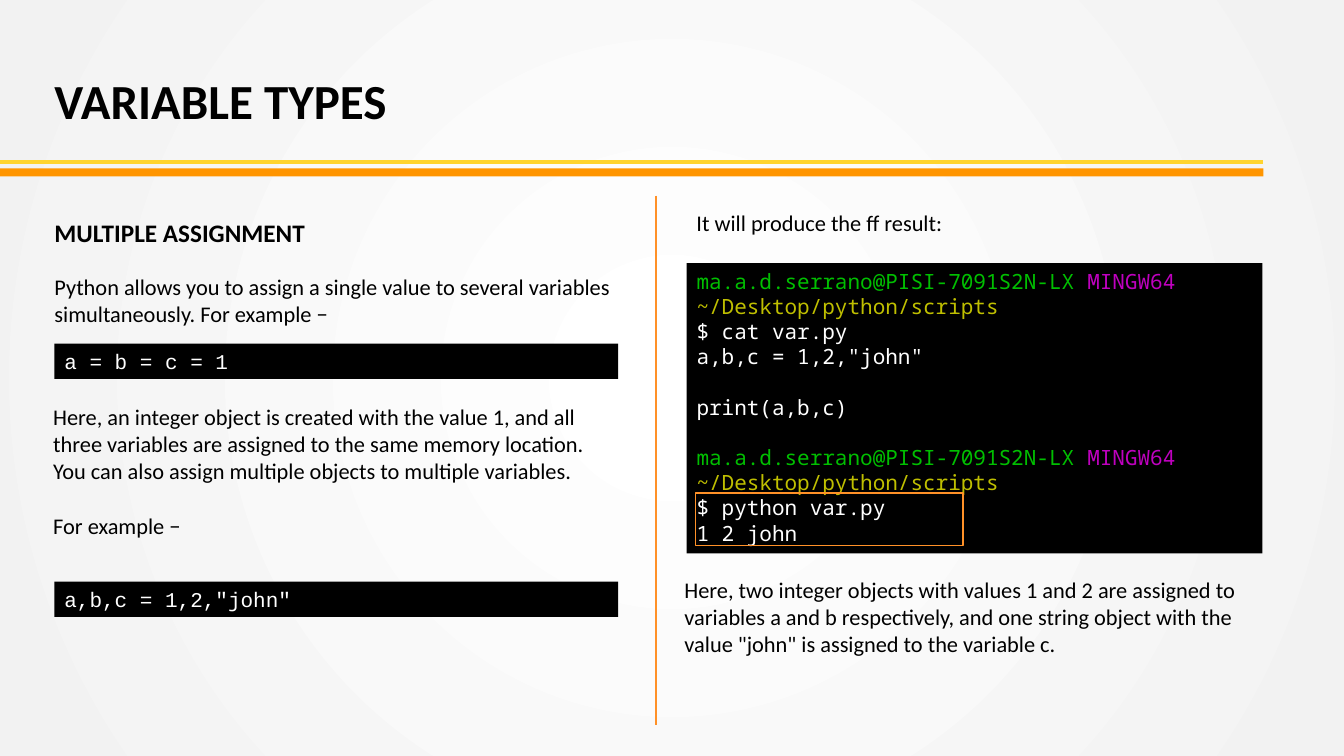
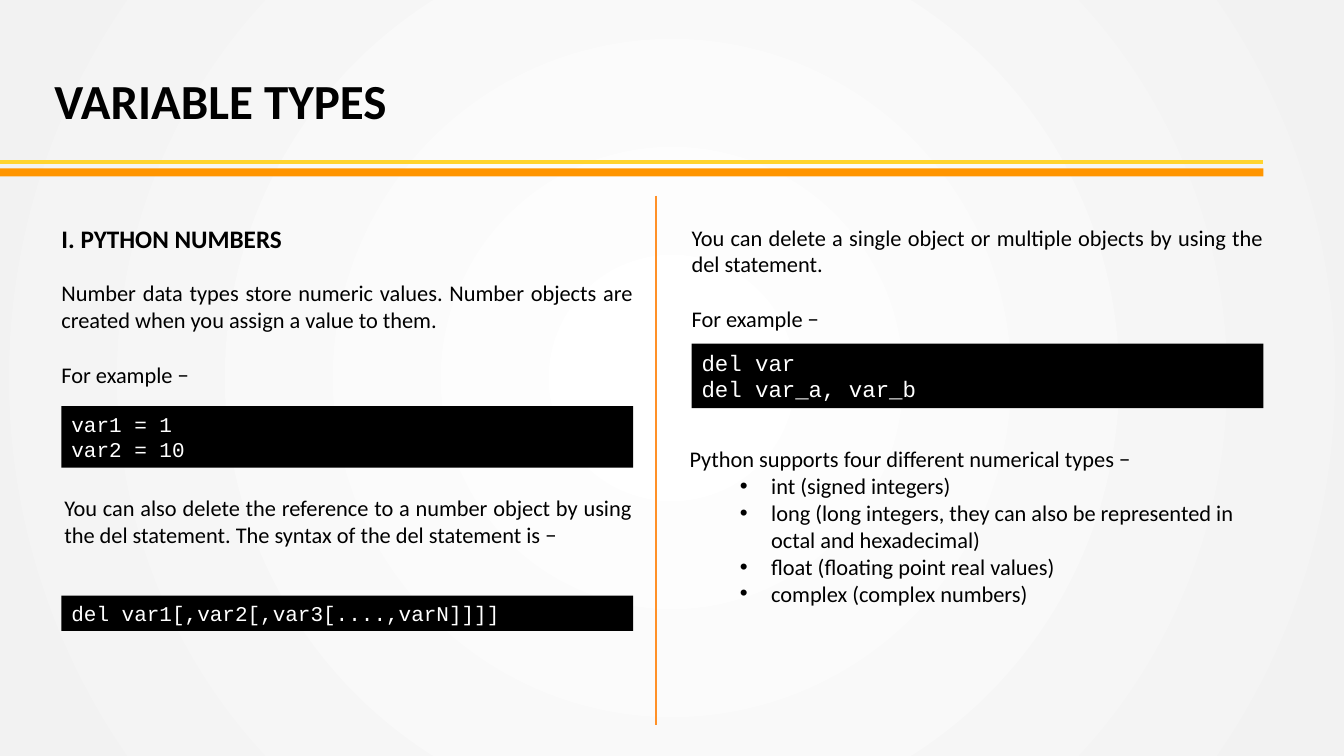
import dataclasses

import lxml.etree
import pptx
import pptx.dml.color
import pptx.enum.shapes
import pptx.enum.text
import pptx.oxml.ns
import pptx.util

EMU_PER_PX = 9144  # 100 px to the inch
SLIDE_WIDTH, SLIDE_HEIGHT = 1333, 750
CONTENT_RIGHT = 1253
PLAIN_INSETS = (10, 5, 10, 5)
FLUSH_INSETS = (0, 0, 0, 5)
JUSTIFY = pptx.enum.text.PP_ALIGN.JUSTIFY


@dataclasses.dataclass(frozen=True)
class Theme:
    ink: str = "000000"
    paper: str = "FFFFFF"
    paper_edge: str = "F2F2F2"
    yellow: str = "FFD42E"
    band: str = "FF9500"
    accent: str = "FF9128"
    prompt_user: str = "00BF00"
    prompt_system: str = "BF00BF"
    prompt_folder: str = "BFBF00"
    body_font: str = "Calibri"
    code_font: str = "Courier New"
    terminal_font: str = "Noto Sans Mono"
    title_size: int = 35
    heading_size: int = 18
    body_size: int = 16
    code_size: int = 15
    heading_gap: int = 18
    body_gap: int = 20
    terminal_line: int = 18


THEME = Theme()


def px(length):
    return pptx.util.Emu(length * EMU_PER_PX)


def rgb(color):
    return pptx.dml.color.RGBColor.from_string(color)


def add_xml(parent, tag, **attributes):
    return lxml.etree.SubElement(parent, pptx.oxml.ns.qn(tag), attributes)


def add_bullet(paragraph):
    paragraph.level = 1
    properties = paragraph._p.get_or_add_pPr()
    properties.set("marL", str(px(81)))
    properties.set("indent", str(px(-31)))
    add_xml(properties, "a:buFont", typeface="Arial")
    add_xml(properties, "a:buChar", char="•")


def add_text(frame, content, *, size=THEME.body_size, font=THEME.body_font,
             color=THEME.ink, bold=False, align=pptx.enum.text.PP_ALIGN.LEFT,
             gap=0, line_height=None, bullet=False):
    """Add one paragraph; content is a string or a list of (text, color) runs."""
    paragraph = frame.add_paragraph() if frame.text else frame.paragraphs[0]
    if bullet:
        add_bullet(paragraph)
    paragraph.alignment = align
    if gap:
        paragraph.space_before = pptx.util.Pt(gap)
    if line_height:
        paragraph.line_spacing = pptx.util.Pt(line_height)
    runs = [(content, color)] if isinstance(content, str) else content
    for text, run_color in runs:
        run = paragraph.add_run()
        run.text = text
        run.font.size = pptx.util.Pt(size)
        run.font.name = font
        run.font.bold = bold
        run.font.color.rgb = rgb(run_color)


class Deck:
    def __init__(self):
        self.presentation = pptx.Presentation()
        self.presentation.slide_width = px(SLIDE_WIDTH)
        self.presentation.slide_height = px(SLIDE_HEIGHT)
        self.slide = None
        self.set_background()

    def set_background(self):
        """Give the master a circular gradient from the centre."""
        master = self.presentation.slide_master
        fill = master.background.fill
        fill.gradient()
        stops = ((0.02, THEME.paper), (1, THEME.paper_edge))
        for stop, (position, color) in zip(fill.gradient_stops, stops):
            stop.position = position
            stop.color.rgb = rgb(color)
        gradient = master.element.find(".//" + pptx.oxml.ns.qn("p:bg")).find(
            ".//" + pptx.oxml.ns.qn("a:gradFill"))
        gradient.remove(gradient.find(pptx.oxml.ns.qn("a:lin")))
        circle = add_xml(gradient, "a:path", path="circle")
        add_xml(circle, "a:fillToRect", l="50000", t="50000", r="50000", b="50000")

    def add_slide(self, title):
        """Start a slide with its title, double rule and column divider."""
        self.slide = self.presentation.slides.add_slide(
            self.presentation.slide_layouts[6])
        self.line(0, 161, CONTENT_RIGHT, 161, THEME.yellow, 3)
        self.rectangle(0, 167, CONTENT_RIGHT, 8, fill=THEME.band)
        self.line(651, 194, 651, 719, THEME.accent, 1.5)
        frame = self.text_box(54, 70, 787, 64, FLUSH_INSETS)
        add_text(frame, title, size=THEME.title_size, bold=True)

    def line(self, x1, y1, x2, y2, color, width):
        connector = self.slide.shapes.add_connector(
            pptx.enum.shapes.MSO_CONNECTOR.STRAIGHT, px(x1), px(y1), px(x2), px(y2))
        connector.line.color.rgb = rgb(color)
        connector.line.width = pptx.util.Pt(width)
        add_xml(connector._element.spPr, "a:effectLst")

    def rectangle(self, left, top, width, height, fill=None, outline=None):
        shape = self.slide.shapes.add_shape(
            pptx.enum.shapes.MSO_SHAPE.RECTANGLE,
            px(left), px(top), px(width), px(height))
        shape.shadow.inherit = False
        if fill:
            shape.fill.solid()
            shape.fill.fore_color.rgb = rgb(fill)
        else:
            shape.fill.background()
        if outline:
            shape.line.color.rgb = rgb(outline)
            shape.line.width = pptx.util.Pt(1)
        else:
            shape.line.fill.background()
        return shape

    def prepare_frame(self, shape, insets):
        frame = shape.text_frame
        frame.word_wrap = True
        frame.vertical_anchor = pptx.enum.text.MSO_ANCHOR.TOP
        (frame.margin_left, frame.margin_top,
         frame.margin_right, frame.margin_bottom) = map(px, insets)
        return frame

    def text_box(self, left, top, width, height, insets=PLAIN_INSETS):
        box = self.slide.shapes.add_textbox(px(left), px(top), px(width), px(height))
        return self.prepare_frame(box, insets)

    def code_box(self, left, top, width, height, lines=(), size=THEME.code_size):
        box = self.rectangle(left, top, width, height, fill=THEME.ink)
        frame = self.prepare_frame(box, PLAIN_INSETS)
        for line in lines:
            add_text(frame, line, size=size, font=THEME.code_font, color=THEME.paper)
        return frame

    def terminal(self, left, top, width, height, blocks):
        """Show blocks of lines, parted by the height of one line."""
        frame = self.code_box(left, top, width, height)
        for block in blocks:
            for index, line in enumerate(block):
                new_block = index == 0 and block is not blocks[0]
                add_text(frame, line, size=THEME.code_size, font=THEME.terminal_font,
                         color=THEME.paper, line_height=THEME.terminal_line,
                         gap=THEME.terminal_line if new_block else 0)


def build_multiple_assignment(deck):
    deck.add_slide("VARIABLE TYPES")
    left, width = 54, 559
    frame = deck.text_box(left, 216, width, 114, FLUSH_INSETS)
    add_text(frame, "MULTIPLE ASSIGNMENT", size=THEME.heading_size, bold=True)
    add_text(frame, "Python allows you to assign a single value to several variables "
             "simultaneously. For example −", gap=THEME.heading_gap)
    deck.code_box(left, 341, width, 35, ["a = b = c = 1"])
    frame = deck.text_box(43, 395, 570, 172)
    add_text(frame, "Here, an integer object is created with the value 1, and all three "
             "variables are assigned to the same memory location. You can also assign "
             "multiple objects to multiple variables.")
    add_text(frame, "For example −", gap=THEME.body_gap)
    deck.code_box(left, 577, width, 35, ['a,b,c = 1,2,"john"'])

    add_text(deck.text_box(681, 203, 310, 37), "It will produce the ff result:")
    prompt = [("ma.a.d.serrano@PISI-7091S2N-LX ", THEME.prompt_user),
              ("MINGW64 ", THEME.prompt_system),
              ("~/Desktop/python/scripts", THEME.prompt_folder)]
    deck.terminal(681, 261, 571, 288, [
        [prompt, "$ cat var.py", 'a,b,c = 1,2,"john"'],
        ["print(a,b,c)"],
        [prompt, "$ python var.py", "1 2 john"],
    ])
    deck.rectangle(690, 489, 265, 52, outline=THEME.accent)
    frame = deck.text_box(669, 567, 571, 118)
    add_text(frame, "Here, two integer objects with values 1 and 2 are assigned to "
             "variables a and b respectively, and one string object with the value "
             '"john" is assigned to the variable c.')


def build_python_numbers(deck):
    deck.add_slide("VARIABLE TYPES")
    left, right, width = 61, 686, 567
    frame = deck.text_box(left, 222, width, 168, FLUSH_INSETS)
    add_text(frame, "I. PYTHON NUMBERS", size=THEME.heading_size, bold=True,
             align=JUSTIFY)
    add_text(frame, "Number data types store numeric values. Number objects are created "
             "when you assign a value to them.", align=JUSTIFY, gap=THEME.heading_gap)
    add_text(frame, "For example −", align=JUSTIFY, gap=THEME.body_gap)
    deck.code_box(left, 403, width, 61, ["var1 = 1", "var2 = 10"])
    frame = deck.text_box(54, 485, 583, 91)
    add_text(frame, "You can also delete the reference to a number object by using the "
             "del statement. The syntax of the del statement is −", align=JUSTIFY)
    deck.code_box(left, 591, width, 35, ["del var1[,var2[,var3[....,varN]]]]"])

    frame = deck.text_box(right, 222, width, 113, FLUSH_INSETS)
    add_text(frame, "You can delete a single object or multiple objects by using the "
             "del statement.", align=JUSTIFY)
    add_text(frame, "For example −", align=JUSTIFY, gap=THEME.body_gap)
    deck.code_box(right, 341, width, 64, ["del var", "del var_a, var_b"],
                  size=THEME.body_size)
    frame = deck.text_box(674, 437, 562, 172)
    add_text(frame, "Python supports four different numerical types −")
    for number_type in (
        "int (signed integers)",
        "long (long integers, they can also be represented in octal and hexadecimal)",
        "float (floating point real values)",
        "complex (complex numbers)",
    ):
        add_text(frame, number_type, bullet=True)


def main():
    deck = Deck()
    build_multiple_assignment(deck)
    build_python_numbers(deck)
    deck.presentation.save("out.pptx")


if __name__ == "__main__":
    main()
